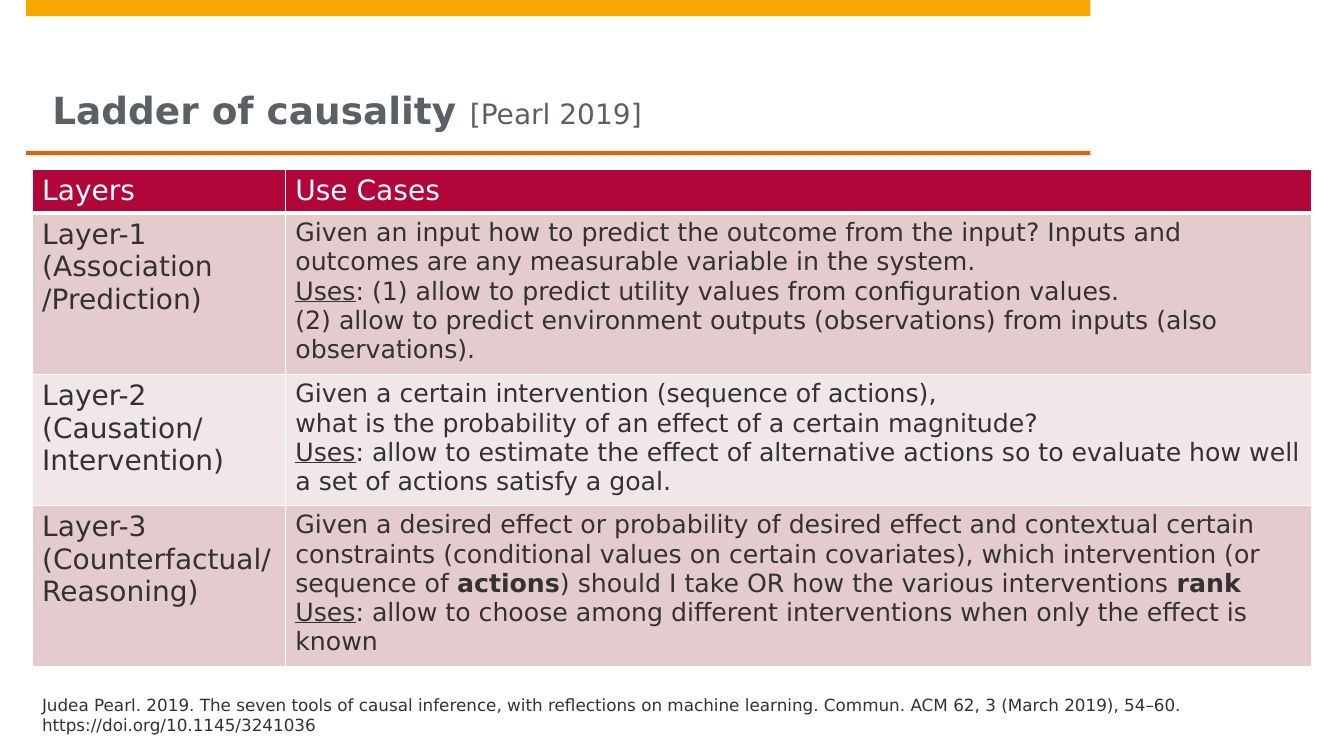
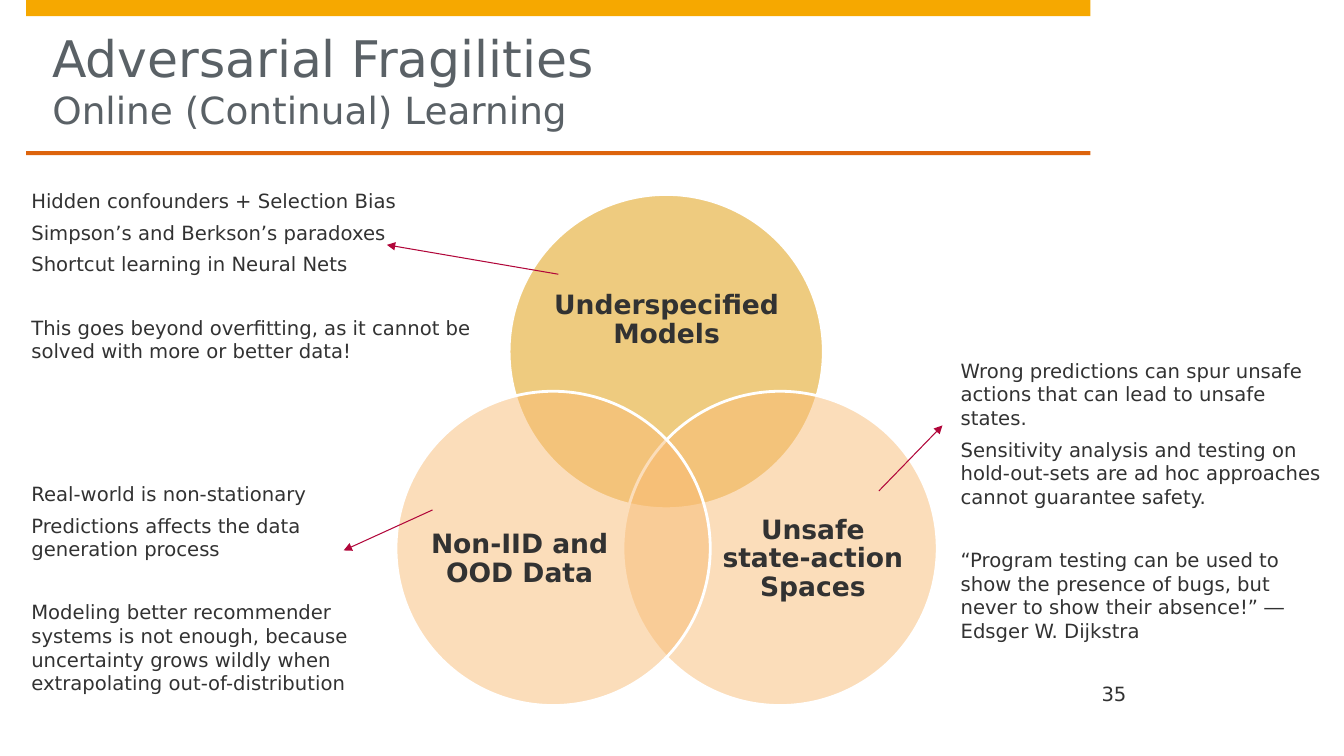
"""Build two slides on the ladder of causality and adversarial fragilities."""
from dataclasses import dataclass

from lxml import etree
from pptx import Presentation
from pptx.dml.color import RGBColor
from pptx.enum.shapes import MSO_CONNECTOR, MSO_SHAPE
from pptx.enum.text import MSO_ANCHOR, PP_ALIGN
from pptx.oxml import parse_xml
from pptx.oxml.ns import nsdecls, qn
from pptx.util import Cm, Pt

RECTANGLE, OVAL = MSO_SHAPE.RECTANGLE, MSO_SHAPE.OVAL
STRAIGHT = MSO_CONNECTOR.STRAIGHT
TOP, MIDDLE, BOTTOM = MSO_ANCHOR.TOP, MSO_ANCHOR.MIDDLE, MSO_ANCHOR.BOTTOM
CENTER = PP_ALIGN.CENTER


@dataclass(frozen=True)
class Theme:
    font: str = "DejaVu Sans"
    band: str = "F6A800"
    rule: str = "DD640C"
    title: str = "5A6166"
    text: str = "323232"
    white: str = "FFFFFF"
    accent: str = "B1063A"
    row_bands: tuple = ("E4CCCE", "F2E7E8")
    gold: str = "DF9800"
    peach: str = "F9BD76"
    title_large: float = 36
    title_size: float = 26.7
    table_size: float = 20
    detail_size: float = 18
    label_size: float = 19
    note_size: float = 14
    source_size: float = 12


THEME = Theme()


def write(frame, paragraphs, size, color):
    """Fill a frame with paragraphs, each a string or a list of (text, font settings)."""
    frame.word_wrap = True
    frame.text = "\n".join("" if isinstance(item, list) else item for item in paragraphs)
    for para, item in zip(frame.paragraphs, paragraphs):
        settings = [{}]
        if isinstance(item, list):
            settings = [setting for _, setting in item]
            for text, _ in item:
                para.add_run().text = text
        for span, setting in zip(para.runs, settings):
            span.font.name = THEME.font
            span.font.size = Pt(size)
            span.font.bold = False
            span.font.color.rgb = RGBColor.from_string(color)
            for name, value in setting.items():
                setattr(span.font, name, value)


def add_box(page, place, paragraphs, size, color=THEME.text, anchor=TOP, insets=(0, 0, 0, 0)):
    """Add a text box and return its frame."""
    frame = page.shapes.add_textbox(*map(Cm, place)).text_frame
    frame.margin_left, frame.margin_top, frame.margin_right, frame.margin_bottom = map(Cm, insets)
    frame.vertical_anchor = anchor
    write(frame, paragraphs, size, color)
    return frame


BOLD = {"bold": True}
USES = ("Uses", {"underline": True})

titles = [
    [[("Ladder of causality ", BOLD), ("[Pearl 2019]", {"size": Pt(THEME.table_size)})]],
    [[("Adversarial Fragilities", {"size": Pt(THEME.title_large)})], "Online (Continual) Learning"],
]

deck = Presentation()
deck.slide_width, deck.slide_height = Cm(33.87), Cm(19.05)
for title in titles:
    page = deck.slides.add_slide(deck.slide_layouts[6])
    for top, height, color in [(0, 0.41, THEME.band), (3.81, 0.1, THEME.rule)]:
        band = page.shapes.add_shape(RECTANGLE, Cm(0.66), Cm(top), Cm(26.82), Cm(height))
        band.shadow.inherit = False
        band.fill.solid()
        band.fill.fore_color.rgb = RGBColor.from_string(color)
        band.line.fill.background()
    add_box(page, (1.32, 0.41, 25.48, 3.43), title, THEME.title_size, THEME.title,
            BOTTOM, (0, 0, 0, 0.51))
ladder_page, fragility_page = deck.slides

layers = [
    (["Layers"], ["Use Cases"]),
    (["Layer-1 (Association", "/Prediction)"], [
        "Given an input how to predict the outcome from the input? Inputs and outcomes "
        "are any measurable variable in the system.",
        [USES, (": (1) allow to predict utility values from configuration values.", {})],
        "(2) allow to predict environment outputs (observations) from inputs "
        "(also observations).",
    ]),
    (["Layer-2 (Causation/", "Intervention)"], [
        "Given a certain intervention (sequence of actions),",
        "what is the probability of an effect of a certain magnitude?",
        [USES, (": allow to estimate the effect of alternative actions so to evaluate "
                "how well a set of actions satisfy a goal.", {})],
    ]),
    (["Layer-3 (Counterfactual/", "Reasoning)"], [
        [("Given a desired effect or probability of desired effect and contextual certain "
          "constraints (conditional values on certain covariates), which intervention "
          "(or sequence of ", {}), ("actions", BOLD),
         (") should I take OR how the various interventions ", {}), ("rank", BOLD)],
        [USES, (": allow to choose among different interventions when only the effect "
                "is known", {})],
    ]),
]
column_widths = (6.38, 25.86)
row_heights = (1.05, 3.95, 3.2, 3.95)
table_frame = ladder_page.shapes.add_table(
    len(layers), 2, Cm(0.81), Cm(4.27), Cm(sum(column_widths)), Cm(sum(row_heights)))
table = table_frame.table
for column, width in zip(table.columns, column_widths):
    column.width = Cm(width)
for index, (row, height, contents) in enumerate(zip(table.rows, row_heights, layers)):
    row.height = Cm(height)
    header = index == 0
    fill = THEME.accent if header else THEME.row_bands[(index - 1) % 2]
    detail_size = THEME.table_size if header else THEME.detail_size
    for cell, content, size in zip(row.cells, contents, (THEME.table_size, detail_size)):
        cell.fill.solid()
        cell.fill.fore_color.rgb = RGBColor.from_string(fill)
        write(cell.text_frame, content, size, THEME.white if header else THEME.text)

for index, properties in enumerate(table_frame.element.iter(qn("a:tcPr"))):
    for position, side in enumerate("LRTB"):
        points = 3 if side == "B" and index < len(column_widths) else 1
        properties.insert(position, parse_xml(
            f'<a:ln{side} {nsdecls("a")} w="{Pt(points)}"><a:solidFill>'
            f'<a:srgbClr val="{THEME.white}"/></a:solidFill></a:ln{side}>'))

add_box(ladder_page, (0.81, 17.37, 29.39, 1.27), [
    "Judea Pearl. 2019. The seven tools of causal inference, with reflections on machine "
    "learning. Commun. ACM 62, 3 (March 2019), 54–60. https://doi.org/10.1145/3241036",
], THEME.source_size, insets=(0.25, 0.13, 0.25, 0.13))

diameter = 7.92
circles = [
    (12.83, 4.9, THEME.gold, "Underspecified Models", (13.89, 6.3, 5.82, 3.56)),
    (15.7, 9.86, THEME.peach, "Unsafe state-action Spaces", (18.11, 11.91, 4.75, 4.37)),
    (9.98, 9.86, THEME.peach, "Non-IID and OOD Data", (10.72, 11.91, 4.75, 4.37)),
]
for left, top, color, label, label_place in circles:
    circle = fragility_page.shapes.add_shape(
        OVAL, Cm(left), Cm(top), Cm(diameter), Cm(diameter))
    circle.shadow.inherit = False
    circle.fill.solid()
    circle.fill.fore_color.rgb = RGBColor.from_string(color)
    fill_color = circle.element.spPr.find(qn("a:solidFill")).find(qn("a:srgbClr"))
    etree.SubElement(fill_color, qn("a:alpha"), val="50000")
    circle.line.color.rgb = RGBColor.from_string(THEME.white)
    circle.line.width = Pt(2)
    frame = add_box(fragility_page, label_place, [[(label, BOLD)]], THEME.label_size,
                    anchor=MIDDLE)
    frame.paragraphs[0].alignment = CENTER
    frame.paragraphs[0].line_spacing = 0.9

add_box(fragility_page, (27.46, 17.12, 5.74, 0.66), ["35"], THEME.note_size,
        anchor=BOTTOM, insets=(0.3, 0, 0, 0))

notes = [
    ((0.79, 4.75, 11.18, 4.78), [
        "Hidden confounders + Selection Bias",
        "Simpson’s and Berkson’s paradoxes",
        "Shortcut learning in Neural Nets",
        "This goes beyond overfitting, as it cannot be solved with more or better data!",
    ]),
    ((0.79, 12.14, 9.35, 5.66), [
        "Real-world is non-stationary",
        "Predictions affects the data generation process",
        "Modeling better recommender systems is not enough, because uncertainty grows "
        "wildly when extrapolating out-of-distribution",
    ]),
    ((24.21, 9.04, 9.35, 5.26), [
        "Wrong predictions can spur unsafe actions that can lead to unsafe states.",
        "Sensitivity analysis and testing on hold-out-sets are ad hoc approaches cannot "
        "guarantee safety.",
        "“Program testing can be used to show the presence of bugs, but never to show "
        "their absence!” ― Edsger W. Dijkstra",
    ]),
]
for place, paragraphs in notes:
    frame = add_box(fragility_page, place, paragraphs, THEME.note_size)
    for para in frame.paragraphs:
        para.space_before = para.space_after = Pt(3)
    frame.paragraphs[-1].space_before = Pt(25.3)

arrows = [
    (14.07, 6.91, 9.75, 6.17),
    (10.9, 12.85, 8.66, 13.87),
    (22.15, 12.37, 23.75, 10.72),
]
for ends in arrows:
    arrow = fragility_page.shapes.add_connector(STRAIGHT, *map(Cm, ends))
    arrow.line.color.rgb = RGBColor.from_string(THEME.accent)
    arrow.line.width = Pt(0.75)
    properties = arrow.element.spPr
    etree.SubElement(properties.find(qn("a:ln")), qn("a:tailEnd"), type="triangle")
    etree.SubElement(properties, qn("a:effectLst"))

deck.save("out.pptx")
